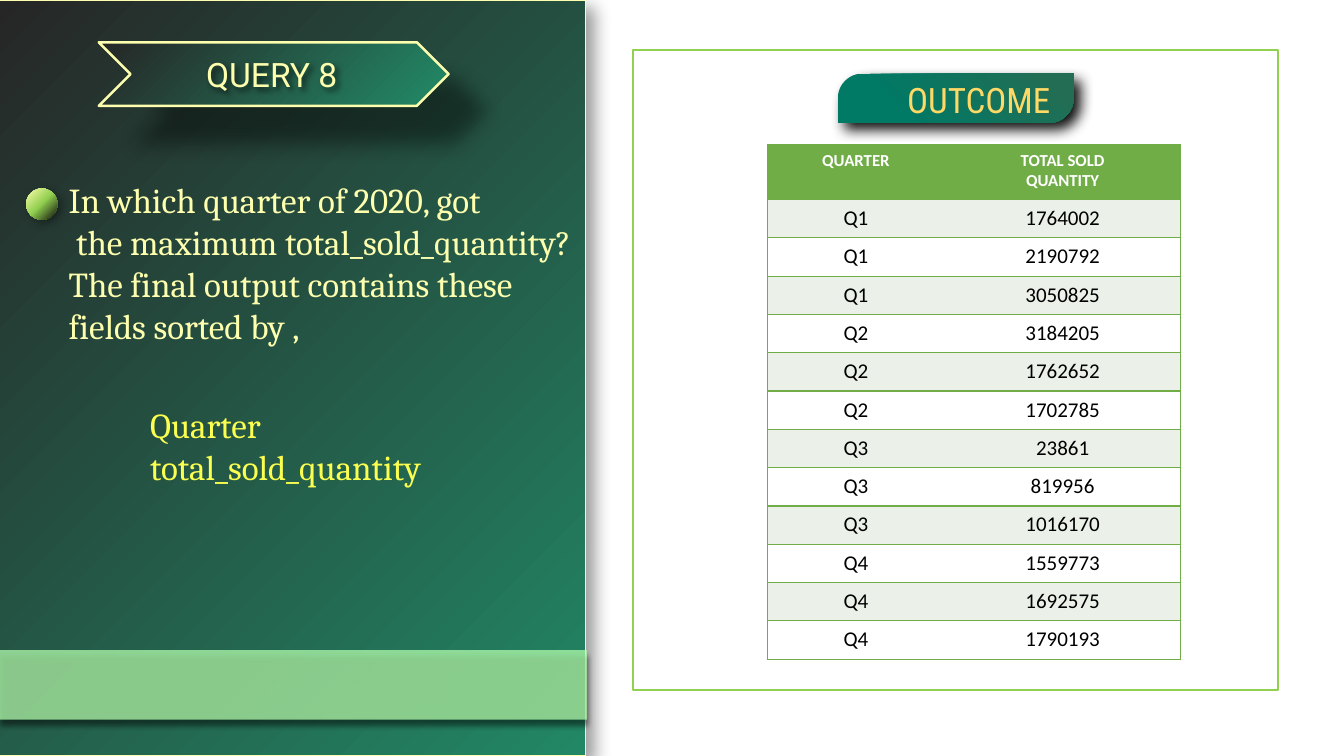
from dataclasses import dataclass
from typing import Optional

from lxml.etree import SubElement
from pptx import Presentation
from pptx.dml.color import RGBColor
from pptx.enum.shapes import MSO_SHAPE
from pptx.enum.text import MSO_ANCHOR, MSO_AUTO_SIZE, PP_ALIGN
from pptx.oxml.ns import qn
from pptx.util import Inches, Pt

BLACK = RGBColor(0x00, 0x00, 0x00)
WHITE = RGBColor(0xFF, 0xFF, 0xFF)
CHARCOAL = RGBColor(0x26, 0x26, 0x26)
NEAR_BLACK = RGBColor(0x0D, 0x0D, 0x0D)
EMERALD = RGBColor(0x22, 0x87, 0x65)
TEAL = RGBColor(0x00, 0x79, 0x65)
PINE = RGBColor(0x23, 0x6D, 0x54)
LIME = RGBColor(0x92, 0xD0, 0x50)
MINT = RGBColor(0xB3, 0xFF, 0xAE)
PALE_MINT = RGBColor(0xD6, 0xFF, 0xBE)
CREAM = RGBColor(0xFD, 0xFF, 0xAE)
YELLOW = RGBColor(0xFB, 0xFF, 0x4F)
GOLD = RGBColor(0xFF, 0xD9, 0x66)
TABLE_GREEN = RGBColor(0x70, 0xAD, 0x47)
BAND_GREEN = RGBColor(0xEB, 0xF1, 0xE9)


@dataclass
class Shadow:
    alpha: int
    blur: float
    distance: float
    angle: int = 45


@dataclass
class Panel:
    kind: MSO_SHAPE
    box: tuple[float, float, float, float]
    stops: tuple = ()          # (position %, colour); a single stop is a solid fill
    angle: int = 45
    alpha: int = 100
    line: Optional[tuple[RGBColor, float]] = None
    shadow: Optional[Shadow] = None
    adjustments: tuple = ()


@dataclass
class Label:
    text: str
    box: tuple[float, float, float, float]
    font: dict
    color: RGBColor
    margin_top: float = 0.05
    align: PP_ALIGN = PP_ALIGN.LEFT
    line_spacing: float = 1.0


PANELS = (
    Panel(MSO_SHAPE.RECTANGLE, (6.28, 0.5, 6.4, 6.35), line=(LIME, 1.5)),
    Panel(MSO_SHAPE.RECTANGLE, (-0.01, 0, 5.82, 7.5), ((0, CHARCOAL), (100, EMERALD)),
          line=(CREAM, 1), shadow=Shadow(40, 12, 8)),
    Panel(MSO_SHAPE.CHEVRON, (0.98, 0.42, 3.47, 0.63),
          ((0, CHARCOAL), (96, EMERALD), (100, PALE_MINT)),
          line=(CREAM, 1.75), shadow=Shadow(40, 15, 37)),
    Panel(MSO_SHAPE.RECTANGLE, (0, 6.45, 5.82, 0.69), ((0, MINT),), alpha=74,
          shadow=Shadow(66, 4, 4, 90)),
    Panel(MSO_SHAPE.ROUND_2_DIAG_RECTANGLE, (8.31, 0.73, 2.34, 0.49),
          ((25, TEAL), (91, PINE)), angle=315, shadow=Shadow(95, 10, 7),
          adjustments=(0.5, 0)),
    Panel(MSO_SHAPE.FLOWCHART_CONNECTOR, (0.26, 1.87, 0.31, 0.31),
          ((0, CREAM), (50, LIME), (100, NEAR_BLACK)), shadow=Shadow(40, 7, 3)),
)

SERIF = {"name": "Cambria", "size": Pt(25)}
QUERY = Label("QUERY 8", (0.59, 0.53, 4.21, 0.77), {"name": "Roboto", "size": Pt(24)},
              CREAM, align=PP_ALIGN.CENTER, line_spacing=0.9)
QUESTION = Label("In which quarter of 2020, got\v the maximum total_sold_quantity? "
                 "The final output contains these fields sorted by ,",
                 (0.58, 0.34, 5.22, 3.58), SERIF, CREAM, margin_top=1.43)
OUTCOME = Label("OUTCOME", (8.9, 0.73, 2.4, 0.99),
                {"name": "Roboto Condensed", "size": Pt(25)}, GOLD)
FIELDS = Label("Quarter\vtotal_sold_quantity", (1.39, 2.23, 3.61, 2.69), SERIF, YELLOW,
               margin_top=1.77)

HEADER = ("QUARTER", "TOTAL SOLD\vQUANTITY")
QUANTITIES = (1764002, 2190792, 3050825, 3184205, 1762652, 1702785,
              23861, 819956, 1016170, 1559773, 1692575, 1790193)
MONTHS_PER_QUARTER = 3
COLUMN_WIDTHS = (1.76, 2.34)
HEADER_HEIGHT, ROW_HEIGHT = 0.55, 0.38
HEADER_FONT = {"name": "Calibri", "size": Pt(12), "bold": True}
ROW_FONT = {"name": "Calibri", "size": Pt(15), "bold": False}
CELL_FORMAT = {"margin_left": Inches(0.13), "margin_right": Inches(0.13),
               "margin_top": Inches(0.06), "margin_bottom": Inches(0.06)}


def apply(target, settings: dict) -> None:
    for name, value in settings.items():
        setattr(target, name, value)


def add_color(parent, color: RGBColor, alpha: int = 100) -> None:
    srgb = SubElement(parent, qn("a:srgbClr"), val=str(color))
    if alpha < 100:
        SubElement(srgb, qn("a:alpha"), val=str(alpha * 1000))


def add_shadow(shape, shadow: Shadow) -> None:
    shape.shadow.inherit = False
    effects = shape.element.spPr.find(qn("a:effectLst"))
    outer = SubElement(effects, qn("a:outerShdw"), blurRad=str(Pt(shadow.blur)),
                       dist=str(Pt(shadow.distance)), dir=str(shadow.angle * 60000),
                       algn="tl", rotWithShape="0")
    add_color(outer, BLACK, shadow.alpha)


def fill_panel(shape, panel: Panel) -> None:
    if not panel.stops:
        shape.fill.background()
        return
    properties = shape.element.spPr
    if len(panel.stops) == 1:
        fill = SubElement(properties, qn("a:solidFill"))
        add_color(fill, panel.stops[0][1], panel.alpha)
    else:
        fill = SubElement(properties, qn("a:gradFill"), rotWithShape="1")
        stop_list = SubElement(fill, qn("a:gsLst"))
        for position, color in panel.stops:
            add_color(SubElement(stop_list, qn("a:gs"), pos=str(position * 1000)), color)
        SubElement(fill, qn("a:lin"), ang=str(panel.angle * 60000), scaled="0")
    properties.find(qn("a:prstGeom")).addnext(fill)


def draw_panel(slide, panel: Panel) -> None:
    shape = slide.shapes.add_shape(panel.kind, *map(Inches, panel.box))
    for index, value in enumerate(panel.adjustments):
        shape.adjustments[index] = value
    fill_panel(shape, panel)
    if panel.line:
        color, width = panel.line
        shape.line.color.rgb = color
        shape.line.width = Pt(width)
    else:
        shape.line.fill.background()
    shape.shadow.inherit = False
    if panel.shadow:
        add_shadow(shape, panel.shadow)


def write_label(shape, label: Label) -> None:
    left, top, width, height = map(Inches, label.box)
    apply(shape, {"left": left, "top": top, "width": width, "height": height})
    frame = shape.text_frame
    frame.text = label.text
    apply(frame, {"word_wrap": True, "auto_size": MSO_AUTO_SIZE.NONE,
                  "vertical_anchor": MSO_ANCHOR.TOP,
                  "margin_top": Inches(label.margin_top)})
    paragraph = frame.paragraphs[0]
    apply(paragraph, {"alignment": label.align, "line_spacing": label.line_spacing,
                      "space_before": Pt(0)})
    for run in paragraph.runs:
        apply(run.font, label.font)
        run.font.color.rgb = label.color


def write_placeholder(slide, shape, label: Label) -> None:
    slide.shapes.element.append(shape.element)  # bring in front of the panels
    write_label(shape, label)
    properties = shape.text_frame.paragraphs[0]._p.get_or_add_pPr()
    properties.set("marL", "0")
    properties.set("indent", "0")
    SubElement(properties, qn("a:buNone"))


def border_cell(cell, outer_side: str) -> None:
    properties = cell._tc.get_or_add_tcPr()
    for position, side in enumerate(("lnL", "lnR", "lnT", "lnB")):
        line = SubElement(properties, qn(f"a:{side}"), w=str(Pt(1)))
        properties.insert(position, line)
        if side in (outer_side, "lnT", "lnB"):
            add_color(SubElement(line, qn("a:solidFill")), TABLE_GREEN)
        else:
            SubElement(line, qn("a:noFill"))


def draw_sales_table(slide) -> None:
    rows = [HEADER] + [(f"Q{index // MONTHS_PER_QUARTER + 1}", str(quantity))
                       for index, quantity in enumerate(QUANTITIES)]
    height = HEADER_HEIGHT + ROW_HEIGHT * len(QUANTITIES)
    sales = slide.shapes.add_table(len(rows), len(HEADER), Inches(7.61), Inches(1.43),
                                   Inches(sum(COLUMN_WIDTHS)), Inches(height)).table
    apply(sales, {"first_row": False, "horz_banding": False})
    for column, width in zip(sales.columns, COLUMN_WIDTHS):
        column.width = Inches(width)
    for r, values in enumerate(rows):
        is_header = r == 0
        sales.rows[r].height = Inches(HEADER_HEIGHT if is_header else ROW_HEIGHT)
        for c, value in enumerate(values):
            cell = sales.cell(r, c)
            cell.text = value
            apply(cell, CELL_FORMAT)
            cell.fill.solid()
            cell.fill.fore_color.rgb = (TABLE_GREEN if is_header
                                        else BAND_GREEN if r % 2 else WHITE)
            border_cell(cell, ("lnL", "lnR")[c])
            paragraph = cell.text_frame.paragraphs[0]
            paragraph.alignment = PP_ALIGN.CENTER
            for run in paragraph.runs:
                apply(run.font, HEADER_FONT if is_header else ROW_FONT)
                run.font.color.rgb = WHITE if is_header else BLACK


def main() -> None:
    deck = Presentation()
    apply(deck, {"slide_width": Inches(13.33), "slide_height": Inches(7.5)})
    slide = deck.slides.add_slide(deck.slide_layouts[1])

    # Backdrop, banner, frame and bullet ball
    for panel in PANELS:
        draw_panel(slide, panel)

    # Query heading and question
    write_placeholder(slide, slide.shapes.title, QUERY)
    add_shadow(slide.shapes.title, Shadow(60, 4, 3))
    write_placeholder(slide, slide.placeholders[1], QUESTION)

    # Outcome heading and requested fields
    for label in (OUTCOME, FIELDS):
        write_label(slide.shapes.add_textbox(*map(Inches, label.box)), label)

    # Outcome table
    draw_sales_table(slide)
    deck.save("out.pptx")


if __name__ == "__main__":
    main()
